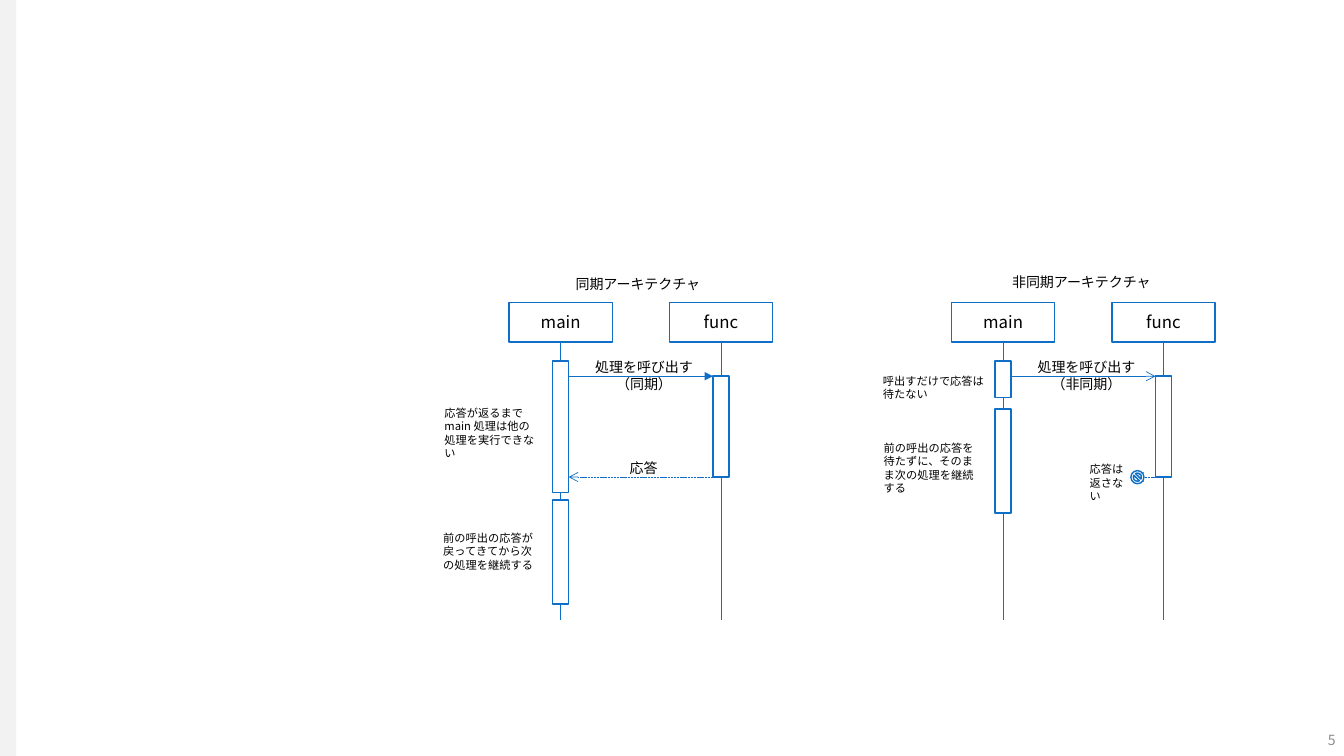
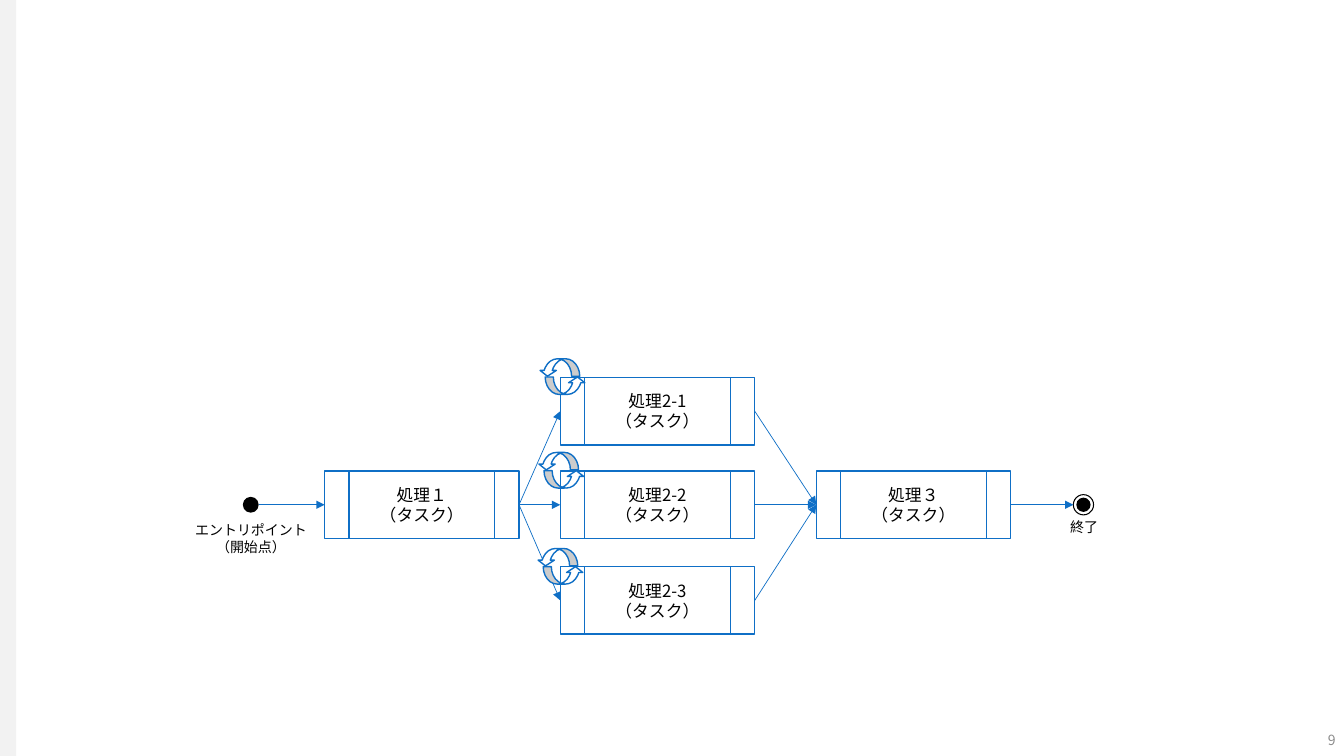
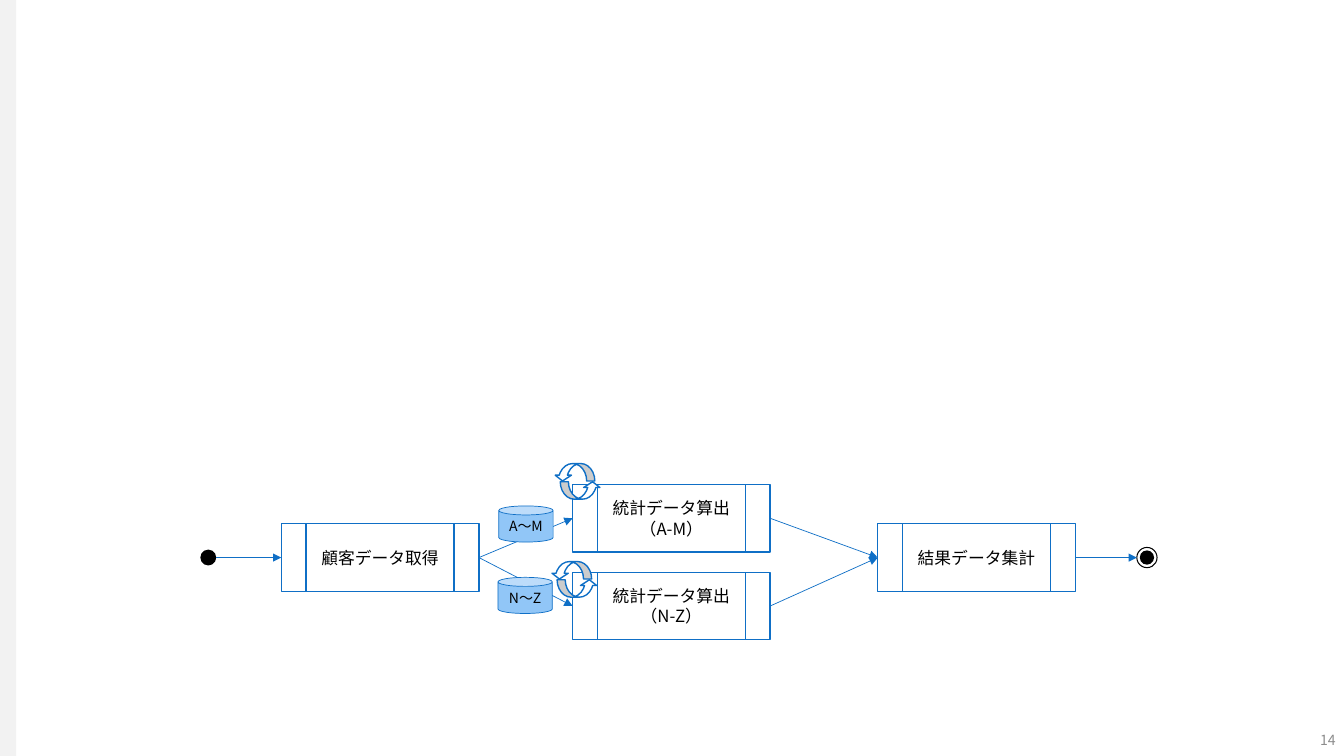
from dataclasses import dataclass
from typing import Optional

from lxml import etree
from pptx import Presentation
from pptx.dml.color import RGBColor
from pptx.enum import dml, shapes, text
from pptx.oxml import ns
from pptx.util import Cm, Pt

FONT = "Noto Sans CJK JP"
LINE_SPACING = 1.2
COLORS = {
    "white": "FFFFFF",
    "band": "F2F2F2",
    "number": "8C8C8C",
    "black": "000000",
    "blue": "0F6FC6",
    "data": "91C6F7",
}
SHAPE = shapes.MSO_SHAPE
LEFT, CENTER, RIGHT = text.PP_ALIGN.LEFT, text.PP_ALIGN.CENTER, text.PP_ALIGN.RIGHT
TASK_H, DOT, RING, RING_DOT = 1.7, 0.4, 0.51, 0.36
FUNC_GAP, HEAD_W, HEAD_H, HEAD_Y, BAR_W = 4.04, 2.6, 1.0, 7.62, 0.4
CALL_Y, REPLY_Y, LIFE_END = 9.48, 12.02, 15.62


@dataclass(frozen=True)
class Box:
    """A rectangle in centimetres."""
    x: float
    y: float
    w: float
    h: float

    @property
    def left_mid(self) -> tuple[float, float]:
        return self.x, self.y + self.h / 2

    @property
    def right_mid(self) -> tuple[float, float]:
        return self.x + self.w, self.y + self.h / 2


@dataclass(frozen=True)
class Label:
    """A free text; notes are small and wrap within their box."""
    text: str
    box: Box
    align: int = LEFT
    note: bool = False


@dataclass(frozen=True)
class Sequence:
    """A sequence diagram between main and func."""
    main_x: float
    main_bars: tuple[tuple[float, float], ...]
    call: str
    call_head: str
    reply_end: tuple[float, float]
    labels: tuple[Label, ...]


@dataclass(frozen=True)
class Task:
    """A process step; cycle is the corner of its loop symbol."""
    text: str
    x: float
    y: float
    cycle: Optional[tuple[float, float]] = None


@dataclass(frozen=True)
class Flow:
    """A flow that fans out from the first task and joins in the last."""
    task_w: float
    fill: Optional[str]
    start_x: float
    end_x: float
    first: Task
    parallel: tuple[Task, ...]
    last: Task
    labels: tuple[Label, ...] = ()
    stores: tuple[Label, ...] = ()


def write(sp, content: str, size: float, color: str = "black", align: int = CENTER,
          anchor=text.MSO_ANCHOR.MIDDLE, inset: Optional[float] = None) -> None:
    """Fill a shape with formatted text."""
    tf = sp.text_frame
    tf.text = content
    tf.vertical_anchor = anchor
    tf.word_wrap = True
    if inset is not None:
        tf.margin_left = tf.margin_right = tf.margin_top = tf.margin_bottom = Cm(inset)
    for p in tf.paragraphs:
        p.alignment = align
        p.line_spacing = Pt(size * LINE_SPACING)
        for r in p.runs:
            r.font.size = Pt(size)
            r.font.name = FONT
            r.font.color.rgb = RGBColor.from_string(COLORS[color])
            etree.SubElement(r.font._element, ns.qn("a:ea"), typeface=FONT)


def add_shape(s, kind, box: Box, fill: Optional[str] = "white",
              line: Optional[str] = "blue", width: float = 1):
    """Add a flat preset shape."""
    sp = s.shapes.add_shape(kind, Cm(box.x), Cm(box.y), Cm(box.w), Cm(box.h))
    sp.shadow.inherit = False
    if fill:
        sp.fill.solid()
        sp.fill.fore_color.rgb = RGBColor.from_string(COLORS[fill])
    else:
        sp.fill.background()
    if line:
        sp.line.color.rgb = RGBColor.from_string(COLORS[line])
        sp.line.width = Pt(width)
    else:
        sp.line.fill.background()
    return sp


def add_line(s, start: tuple[float, float], end: tuple[float, float],
             head: Optional[str] = None, dashed: bool = False) -> None:
    """Add a thin straight line with an optional head at its end."""
    c = s.shapes.add_connector(shapes.MSO_CONNECTOR.STRAIGHT,
                               *(Cm(v) for v in (*start, *end)))
    c.line.color.rgb = RGBColor.from_string(COLORS["blue"])
    c.line.width = Pt(0.5)
    if dashed:
        c.line.dash_style = dml.MSO_LINE.SQUARE_DOT
    props = c._element.spPr
    if head:
        etree.SubElement(props.find(ns.qn("a:ln")), ns.qn("a:tailEnd"), type=head)
    etree.SubElement(props, ns.qn("a:effectLst"))


def add_label(s, label: Label) -> None:
    """Add a text box that grows with its text."""
    b = label.box
    sp = s.shapes.add_textbox(Cm(b.x), Cm(b.y), Cm(b.w), Cm(b.h))
    write(sp, label.text, 8 if label.note else 10, align=label.align,
          anchor=text.MSO_ANCHOR.TOP, inset=0.1 if label.note else None)
    sp.text_frame.word_wrap = label.note
    sp.text_frame.auto_size = text.MSO_AUTO_SIZE.SHAPE_TO_FIT_TEXT


def new_slide(prs, number: int):
    """Add a blank slide with the side band and the page number."""
    s = prs.slides.add_slide(prs.slide_layouts[6])
    add_shape(s, SHAPE.RECTANGLE, Box(0, 0, 0.41, 19.05), "band", None)
    sp = s.shapes.add_textbox(Cm(31.06), Cm(18.24), Cm(2.8), Cm(0.81))
    write(sp, str(number), 10, "number", RIGHT, inset=0.2)
    return s


def draw_sequence(s, seq: Sequence) -> None:
    """Draw the participants, their bars and the messages."""
    func_x = seq.main_x + FUNC_GAP
    bars = ((seq.main_x, seq.main_bars), (func_x, ((CALL_Y, REPLY_Y - CALL_Y),)))
    for name, (x, spans) in zip(("main", "func"), bars):
        add_line(s, (x, HEAD_Y + HEAD_H), (x, LIFE_END))
        head = add_shape(s, SHAPE.RECTANGLE, Box(x - HEAD_W / 2, HEAD_Y, HEAD_W, HEAD_H))
        write(head, name, 12, inset=0.2)
        for top, height in spans:
            add_shape(s, SHAPE.RECTANGLE, Box(x - BAR_W / 2, top, BAR_W, height))
    add_line(s, (seq.main_x + BAR_W / 2, CALL_Y), (func_x - BAR_W / 2, CALL_Y),
             seq.call_head)
    add_line(s, (func_x - BAR_W / 2, REPLY_Y), seq.reply_end, "arrow", dashed=True)
    call_box = Box(seq.main_x + 0.6, 8.92, 3, 1.12)
    for label in (Label(seq.call, call_box, CENTER), *seq.labels):
        add_label(s, label)


def draw_cycle(s, x: float, y: float) -> None:
    """Draw a loop symbol from two curved arrows."""
    for dx, dy, turn in ((0.15, 0.46, 0), (0, 0, 180)):
        sp = add_shape(s, SHAPE.CURVED_UP_ARROW, Box(x + dx, y + dy, 1.02, 0.44))
        sp.rotation = turn
        for i, value in enumerate((0.466, 0.932, 0.333)):
            sp.adjustments[i] = value


def draw_flow(s, flow: Flow) -> None:
    """Draw the tasks, the start and end marks and all arrows."""
    def place(task: Task) -> Box:
        """Draw one task and return its box."""
        box = Box(task.x, task.y, flow.task_w, TASK_H)
        sp = add_shape(s, SHAPE.FLOWCHART_PREDEFINED_PROCESS, box, flow.fill)
        write(sp, task.text, 12)
        return box

    first, last = place(flow.first), place(flow.last)
    mid_y = first.left_mid[1]
    start = Box(flow.start_x, mid_y - DOT / 2, DOT, DOT)
    ring = Box(flow.end_x, mid_y - RING / 2, RING, RING)
    rim = (RING - RING_DOT) / 2
    add_shape(s, SHAPE.OVAL, start, "black", None)
    add_shape(s, SHAPE.OVAL, Box(ring.x + rim, ring.y + rim, RING_DOT, RING_DOT),
              "black", None)
    add_shape(s, SHAPE.OVAL, ring, None, "black", 0.75)
    links = [(start, first), (last, ring)]
    for task in flow.parallel:
        box = place(task)
        links += [(first, box), (box, last)]
    for source, target in links:
        add_line(s, source.right_mid, target.left_mid, "triangle")
    for task in flow.parallel:
        if task.cycle:
            draw_cycle(s, *task.cycle)
    for store in flow.stores:
        can = add_shape(s, SHAPE.CAN, store.box, "data", width=0.5)
        write(can, store.text, 10, inset=0.1)
    for label in flow.labels:
        add_label(s, label)


SYNC = Sequence(
    14.13, ((9.1, 3.31), (12.6, 2.62)), "処理を呼び出す\n（同期）", "triangle",
    (14.33, REPLY_Y), (
        Label("応答", Box(15.62, 11.46, 1.22, 0.69)),
        Label("応答が返るまで main 処理は他の処理を実行できない",
              Box(11.1, 10.13, 2.59, 1.22), note=True),
        Label("前の呼出の応答が戻ってきてから次の処理を継続する",
              Box(11.07, 13.28, 2.59, 1.22), note=True),
        Label("同期アーキテクチャ", Box(14.22, 6.81, 3.71, 0.69), CENTER),
    ))
ASYNC = Sequence(
    25.28, ((9.1, 0.92), (10.31, 2.62)), "処理を呼び出す\n（非同期）", "arrow",
    (28.58, REPLY_Y), (
        Label("呼出すだけで応答は待たない", Box(22.15, 9.32, 2.87, 0.89), note=True),
        Label("前の呼出の応答を待たずに、そのまま次の処理を継続する",
              Box(22.17, 11.02, 2.72, 1.22), note=True),
        Label("応答は返さない", Box(27.36, 11.56, 1.27, 0.89), note=True),
        Label("非同期アーキテクチャ", Box(25.22, 6.76, 4.06, 0.69), CENTER),
    ))
TASK_FLOW = Flow(
    4.9, None, 6.12, 27.05,
    Task("処理１\n（タスク）", 8.18, 11.87),
    (Task("処理2-1\n（タスク）", 14.12, 9.51, (13.59, 9.04)),
     Task("処理2-2\n（タスク）", 14.12, 11.87, (13.56, 11.4)),
     Task("処理2-3\n（タスク）", 14.12, 14.28, (13.54, 13.82))),
    Task("処理３\n（タスク）", 20.57, 11.87),
    labels=(Label("エントリポイント\n（開始点）", Box(4.65, 13.03, 3.35, 1.12), CENTER),
            Label("終了", Box(26.72, 12.95, 1.22, 0.69))))
DATA_FLOW = Flow(
    4.98, "white", 5.05, 28.65,
    Task("顧客データ取得", 7.09, 13.2),
    (Task("統計データ算出\n（A-M）", 14.43, 12.21, (13.97, 11.68)),
     Task("統計データ算出\n（N-Z）", 14.43, 14.42, (13.89, 14.15))),
    Task("結果データ集計", 22.12, 13.2),
    stores=(Label("N～Z", Box(12.55, 14.55, 1.37, 0.91)),
            Label("A～M", Box(12.57, 12.75, 1.37, 0.91))))


def main() -> None:
    """Build and save the presentation."""
    prs = Presentation()
    prs.slide_width, prs.slide_height = Cm(33.87), Cm(19.05)
    s = new_slide(prs, 5)
    for seq in (SYNC, ASYNC):
        draw_sequence(s, seq)
    add_shape(s, SHAPE.NO_SYMBOL, Box(28.5, 11.86, 0.33, 0.33))
    for number, flow in ((9, TASK_FLOW), (14, DATA_FLOW)):
        draw_flow(new_slide(prs, number), flow)
    prs.save("out.pptx")


main()
